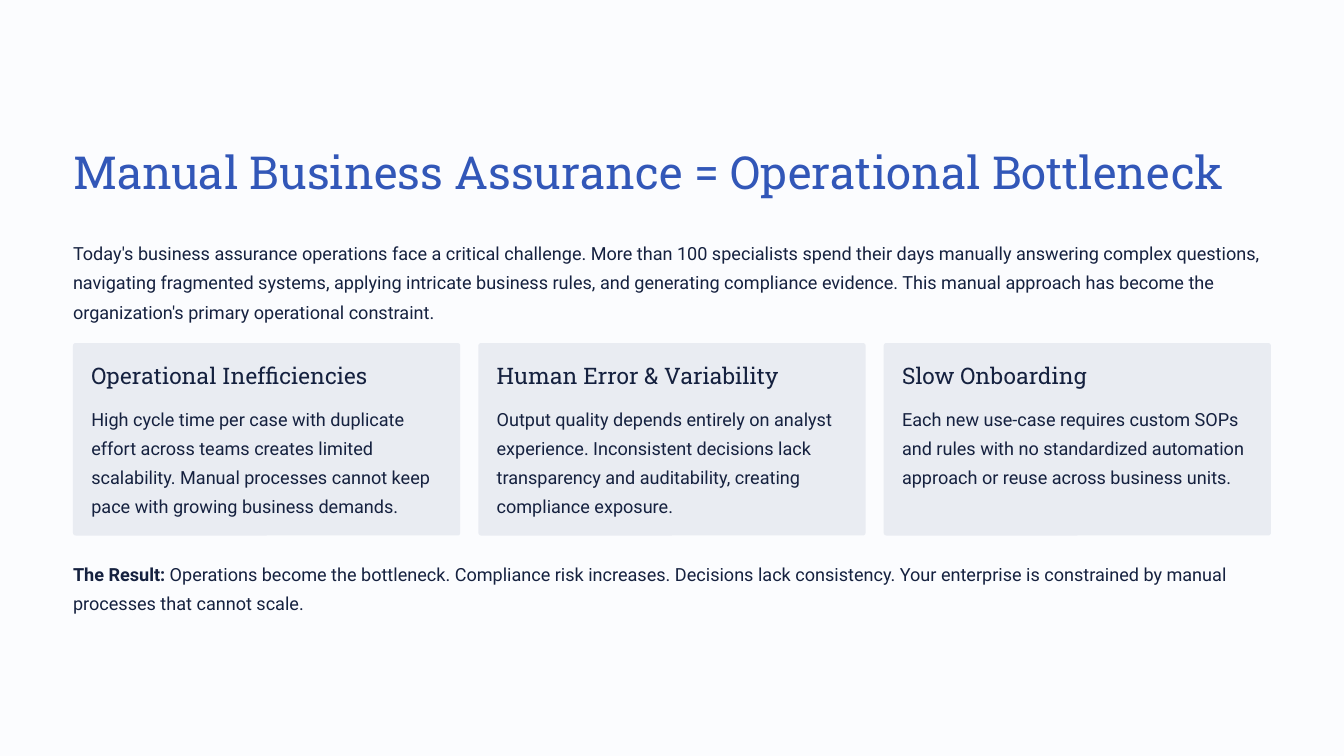
"""Build a slide on manual business assurance as an operational bottleneck."""
from dataclasses import dataclass

from pptx import Presentation
from pptx.dml.color import RGBColor
from pptx.enum.shapes import MSO_SHAPE
from pptx.util import Pt


@dataclass(frozen=True)
class TextStyle:
    font: str
    size: float
    line: float
    color: RGBColor


@dataclass(frozen=True)
class Theme:
    background = RGBColor(0xFB, 0xFC, 0xFE)
    card = RGBColor(0xE9, 0xEC, 0xF2)
    ink = RGBColor(0x15, 0x21, 0x3F)
    title = TextStyle("Roboto Slab", 39, 48.5, RGBColor(0x32, 0x57, 0xB8))
    heading = TextStyle("Roboto Slab", 19.5, 24, ink)
    body = TextStyle("Roboto", 15.5, 25, ink)


theme = Theme()

deck = Presentation()
deck.slide_width, deck.slide_height = Pt(1152), Pt(648)
page = deck.slides.add_slide(deck.slide_layouts[6])
page.background.fill.solid()
page.background.fill.fore_color.rgb = theme.background


def add_text(left, top, width, height, parts, style):
    """Add a text box whose parts are pairs of wording and boldness."""
    box = page.shapes.add_textbox(Pt(left), Pt(top), Pt(width), Pt(height))
    frame = box.text_frame
    frame.word_wrap = True
    frame.margin_left = frame.margin_right = 0
    frame.margin_top = frame.margin_bottom = 0
    para = frame.paragraphs[0]
    para.line_spacing = Pt(style.line)
    for wording, bold in parts:
        span = para.add_run()
        span.text = wording
        span.font.name = style.font
        span.font.size = Pt(style.size)
        span.font.color.rgb = style.color
        span.font.bold = bold


margin = 62.6
content_width = 1152 - 2 * margin
gap = 15.5
padding = 15.7
card_top, card_height = 294, 165

add_text(margin, 121.7, content_width, 49,
         [("Manual Business Assurance = Operational Bottleneck", False)], theme.title)
add_text(margin, 201.6, content_width, 75, [(
    "Today's business assurance operations face a critical challenge. More than 100 "
    "specialists spend their days manually answering complex questions, navigating "
    "fragmented systems, applying intricate business rules, and generating compliance "
    "evidence. This manual approach has become the organization's primary operational "
    "constraint.", False)], theme.body)

cards = [
    ("Operational Inefficiencies",
     "High cycle time per case with duplicate effort across teams creates limited "
     "scalability. Manual processes cannot keep pace with growing business demands."),
    ("Human Error & Variability",
     "Output quality depends entirely on analyst experience. Inconsistent decisions lack "
     "transparency and auditability, creating compliance exposure."),
    ("Slow Onboarding",
     "Each new use-case requires custom SOPs and rules with no standardized automation "
     "approach or reuse across business units."),
]
card_width = (content_width - gap * (len(cards) - 1)) / len(cards)
text_width = card_width - 2 * padding

for index, (heading, description) in enumerate(cards):
    left = margin + index * (card_width + gap)
    card = page.shapes.add_shape(MSO_SHAPE.ROUNDED_RECTANGLE, Pt(left), Pt(card_top),
                                 Pt(card_width), Pt(card_height))
    card.adjustments[0] = 0.014
    card.shadow.inherit = False
    card.fill.solid()
    card.fill.fore_color.rgb = theme.card
    card.line.fill.background()
    add_text(left + padding, card_top + padding, text_width, 24.5,
             [(heading, False)], theme.heading)
    add_text(left + padding, card_top + 49.5, text_width, 100,
             [(description, False)], theme.body)

add_text(margin, 476.6, content_width, 50, [
    ("The Result:", True),
    (" Operations become the bottleneck. Compliance risk increases. Decisions lack "
     "consistency. Your enterprise is constrained by manual processes that cannot scale.",
     False)], theme.body)

deck.save("out.pptx")
